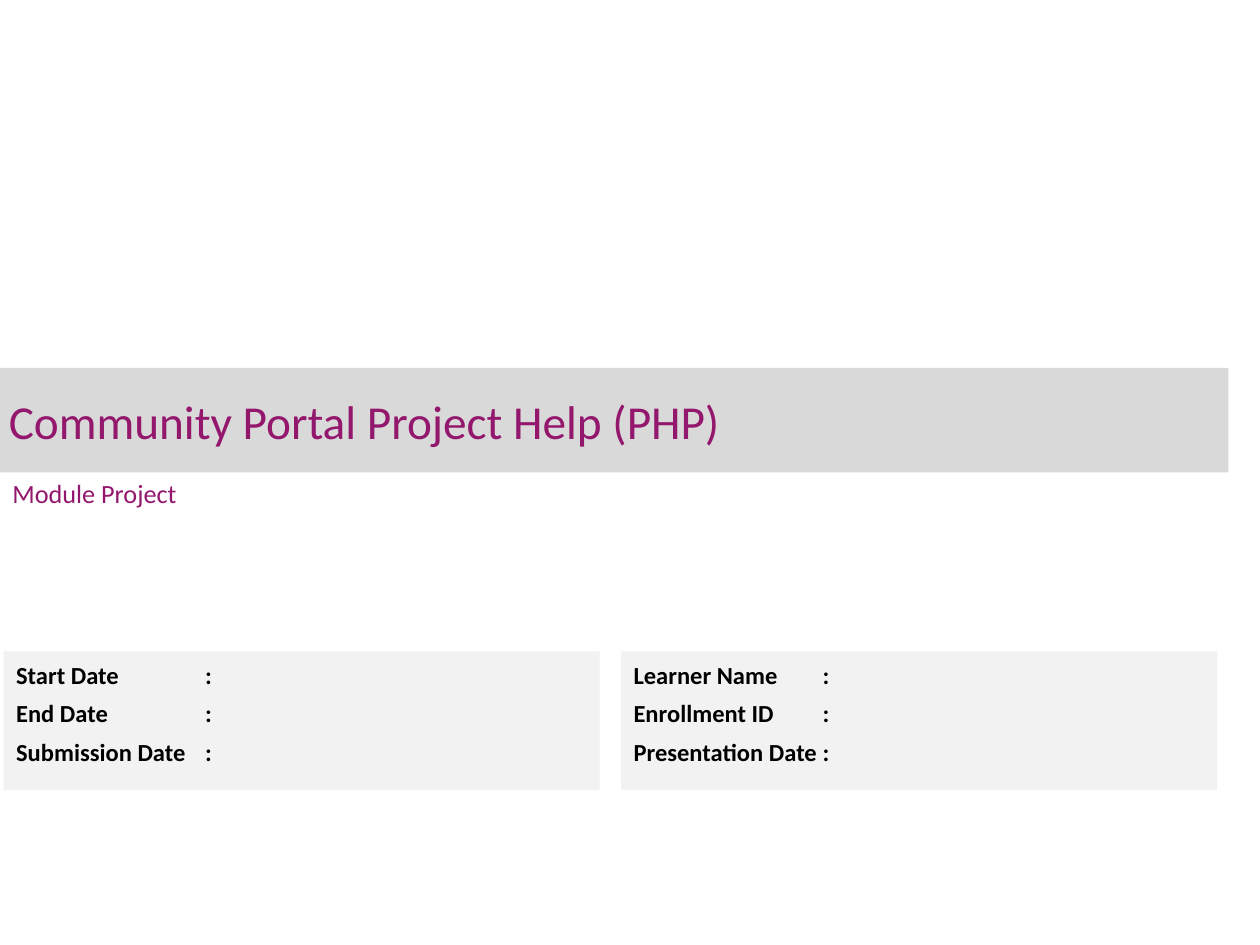
from lxml.etree import SubElement
from pptx import Presentation
from pptx.dml.color import RGBColor
from pptx.enum.shapes import MSO_SHAPE as Shape
from pptx.enum.text import MSO_ANCHOR as Anchor, PP_ALIGN as Align
from pptx.oxml.ns import qn
from pptx.util import Inches, Pt

PURPLE = RGBColor(0x93, 0x17, 0x6C)
BLACK = RGBColor(0, 0, 0)
BAND_GREY = RGBColor(0xD9, 0xD9, 0xD9)
PANEL_GREY = RGBColor(0xF2, 0xF2, 0xF2)

TITLE_FONT = {"name": "Calibri", "size": Pt(27), "bold": False}
SUBTITLE_FONT = {"name": "Calibri", "size": Pt(15), "bold": False}
LABEL_FONT = {"name": "Calibri", "size": Pt(14), "bold": True}
LABEL_SPACING = {"line_spacing": Pt(18), "space_before": Pt(2), "space_after": Pt(2)}
TITLE_FRAME = {"word_wrap": True, "vertical_anchor": Anchor.MIDDLE,
               "margin_left": Inches(0.07), "margin_right": Inches(0.07),
               "margin_top": Inches(0.04), "margin_bottom": Inches(0.04)}
SUBTITLE_FRAME = {"word_wrap": True, "vertical_anchor": Anchor.MIDDLE}
PANEL_FRAME = {"word_wrap": True, "vertical_anchor": Anchor.TOP}

PANEL_TOP, PANEL_WIDTH, PANEL_HEIGHT = 5.17, 4.73, 1.1
PANEL_LEFT, PANEL_STEP = 0.03, 4.9
COLON_STOP = 1.5
PANELS = [
    ["Start Date", "End Date", "Submission Date"],
    ["Learner Name", "Enrollment ID", "Presentation Date"],
]


def apply_format(target, values):
    """Set each attribute named in values on target."""
    for attribute, value in values.items():
        setattr(target, attribute, value)


def add_band(slide, box, color):
    """Add a flat filled rectangle in the given box."""
    band = slide.shapes.add_shape(Shape.RECTANGLE, *map(Inches, box))
    band.shadow.inherit = False
    band.fill.solid()
    band.fill.fore_color.rgb = color
    band.line.fill.background()
    return band


def write_lines(frame, lines, frame_format, font_format, color):
    """Write left-aligned lines into a text frame."""
    apply_format(frame, frame_format)
    frame.text = "\n".join(lines)
    for line in frame.paragraphs:
        line.alignment = Align.LEFT
        for run in line.runs:
            apply_format(run.font, font_format)
            run.font.color.rgb = color


def add_title(slide, box, title):
    """Place the title on its grey band."""
    band = add_band(slide, box, BAND_GREY)
    write_lines(band.text_frame, [title], TITLE_FRAME, TITLE_FONT, PURPLE)


def add_subtitle(slide, box, subtitle):
    """Place the subtitle below the title band."""
    caption = slide.shapes.add_textbox(*map(Inches, box))
    write_lines(caption.text_frame, [subtitle], SUBTITLE_FRAME, SUBTITLE_FONT, PURPLE)


def add_details_panel(slide, box, labels):
    """Place a panel of labels with colons aligned on a tab stop."""
    frame = add_band(slide, box, PANEL_GREY).text_frame
    lines = [f"{label}\t:" for label in labels]
    write_lines(frame, lines, PANEL_FRAME, LABEL_FONT, BLACK)
    for line in frame.paragraphs:
        apply_format(line, LABEL_SPACING)
        stops = SubElement(line._p.get_or_add_pPr(), qn("a:tabLst"))
        SubElement(stops, qn("a:tab"), pos=str(Inches(COLON_STOP)), algn="l")


def main():
    """Build the cover slide and save it."""
    deck = Presentation()
    deck.slide_width, deck.slide_height = Inches(10), Inches(7.5)
    slide = deck.slides.add_slide(deck.slide_layouts[6])
    add_title(slide, (0, 2.92, 9.75, 0.83), "Community Portal Project Help (PHP)")
    add_subtitle(slide, (0, 3.6, 6.42, 0.62), "Module Project")
    for column, labels in enumerate(PANELS):
        left = PANEL_LEFT + column * PANEL_STEP
        add_details_panel(slide, (left, PANEL_TOP, PANEL_WIDTH, PANEL_HEIGHT), labels)
    deck.save("out.pptx")


if __name__ == "__main__":
    main()
